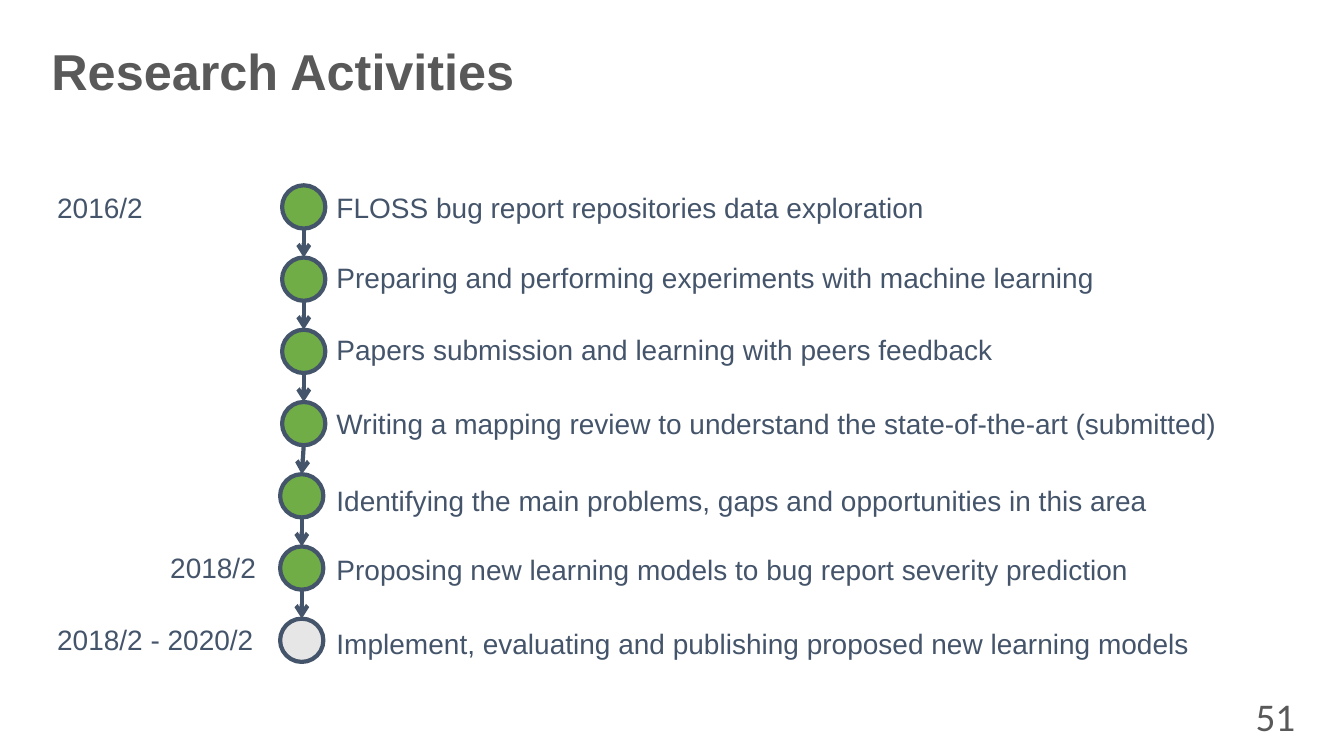
from lxml import etree
from pptx import Presentation
from pptx import util as u
from pptx.dml.color import RGBColor
from pptx.enum import shapes, text
from pptx.oxml import ns

SLATE, GREY, GREEN, PALE = "44546A", "595959", "70AD47", "E7E6E6"
DIAMETER, FIRST_TOP, PITCH = 1.09, 4.67, 1.82
LABEL_LEFT, LINE_HEIGHT = 8.23, 1.12

# Circle left, circle fill, label top, label width, label (lengths in cm)
STEPS = [
    (7.11, GREEN, 4.67, 15.9, "FLOSS bug report repositories data exploration"),
    (7.11, GREEN, 6.45, 19.91, "Preparing and performing experiments with machine learning"),
    (7.11, GREEN, 8.26, 17.55, "Papers submission and learning with peers feedback"),
    (7.11, GREEN, 10.11, 23.39, "Writing a mapping review to understand the state-of-the-art (submitted)"),
    (7.06, GREEN, 12.07, 21.08, "Identifying the main problems, gaps and opportunities in this area"),
    (7.06, GREEN, 13.79, 20.93, "Proposing new learning models to bug report severity prediction"),
    (7.06, PALE, 15.65, 22.43, "Implement, evaluating and publishing proposed new learning models"),
]

# Date left, top, width, wording
DATES = [
    (1.19, 4.67, 2.72, "2016/2"),
    (4.04, 13.74, 2.72, "2018/2"),
    (1.19, 15.57, 5.82, "2018/2 - 2020/2"),
]


def color(value):
    return RGBColor.from_string(value)


def write(frame, wording, size=20, font="Arial", fill=SLATE, bold=False,
          align=text.PP_ALIGN.LEFT, anchor=text.MSO_ANCHOR.TOP, wrap=False, spacing=None):
    frame.word_wrap = wrap
    frame.vertical_anchor = anchor
    para = frame.paragraphs[0]
    para.alignment = align
    para.line_spacing = spacing
    span = para.add_run()
    span.text = wording
    span.font.size = u.Pt(size)
    span.font.name = font
    span.font.bold = bold
    span.font.color.rgb = color(fill)


def add_label(page, left, top, width, wording, height=LINE_HEIGHT, **style):
    box = page.shapes.add_textbox(u.Cm(left), u.Cm(top), u.Cm(width), u.Cm(height))
    write(box.text_frame, wording, **style)


def add_title(page, wording):
    title = page.shapes.title
    title.left, title.top = u.Cm(1.04), u.Cm(1.02)
    title.width, title.height = u.Cm(30.5), u.Cm(1.7)
    write(title.text_frame, wording, size=36, fill=GREY, bold=True,
          anchor=text.MSO_ANCHOR.MIDDLE, wrap=True, spacing=0.9)


def add_circle(page, left, top, fill):
    circle = page.shapes.add_shape(shapes.MSO_SHAPE.OVAL, u.Cm(left), u.Cm(top),
                                   u.Cm(DIAMETER), u.Cm(DIAMETER))
    circle.shadow.inherit = False
    circle.fill.solid()
    circle.fill.fore_color.rgb = color(fill)
    circle.line.color.rgb = color(SLATE)
    circle.line.width = u.Pt(3)
    return circle


def add_arrow(page, upper, lower):
    """Arrow from the bottom of one circle to the top of the next."""
    arrow = page.shapes.add_connector(
        shapes.MSO_CONNECTOR.STRAIGHT,
        upper.left + upper.width // 2, upper.top + upper.height,
        lower.left + lower.width // 2, lower.top)
    arrow.line.color.rgb = color(SLATE)
    arrow.line.width = u.Pt(3)
    etree.SubElement(arrow.line._get_or_add_ln(), ns.qn("a:tailEnd"), type="arrow")
    etree.SubElement(arrow._element.spPr, ns.qn("a:effectLst"))


def main():
    deck = Presentation()
    deck.slide_width, deck.slide_height = u.Cm(33.87), u.Cm(19.05)
    page = deck.slides.add_slide(deck.slide_layouts[5])
    add_title(page, "Research Activities")

    # Timeline steps
    circles = []
    for row, (left, fill, label_top, label_width, wording) in enumerate(STEPS):
        circles.append(add_circle(page, left, FIRST_TOP + row * PITCH, fill))
        add_label(page, LABEL_LEFT, label_top, label_width, wording)
    for upper, lower in zip(circles, circles[1:]):
        add_arrow(page, upper, lower)

    # Dates
    for date in DATES:
        add_label(page, *date)

    # Page number
    add_label(page, 30.25, 17.53, 2.64, "51", height=1.02, size=28, font="Calibri", fill=GREY,
              align=text.PP_ALIGN.RIGHT, anchor=text.MSO_ANCHOR.MIDDLE, wrap=True)

    deck.save("out.pptx")


if __name__ == "__main__":
    main()
